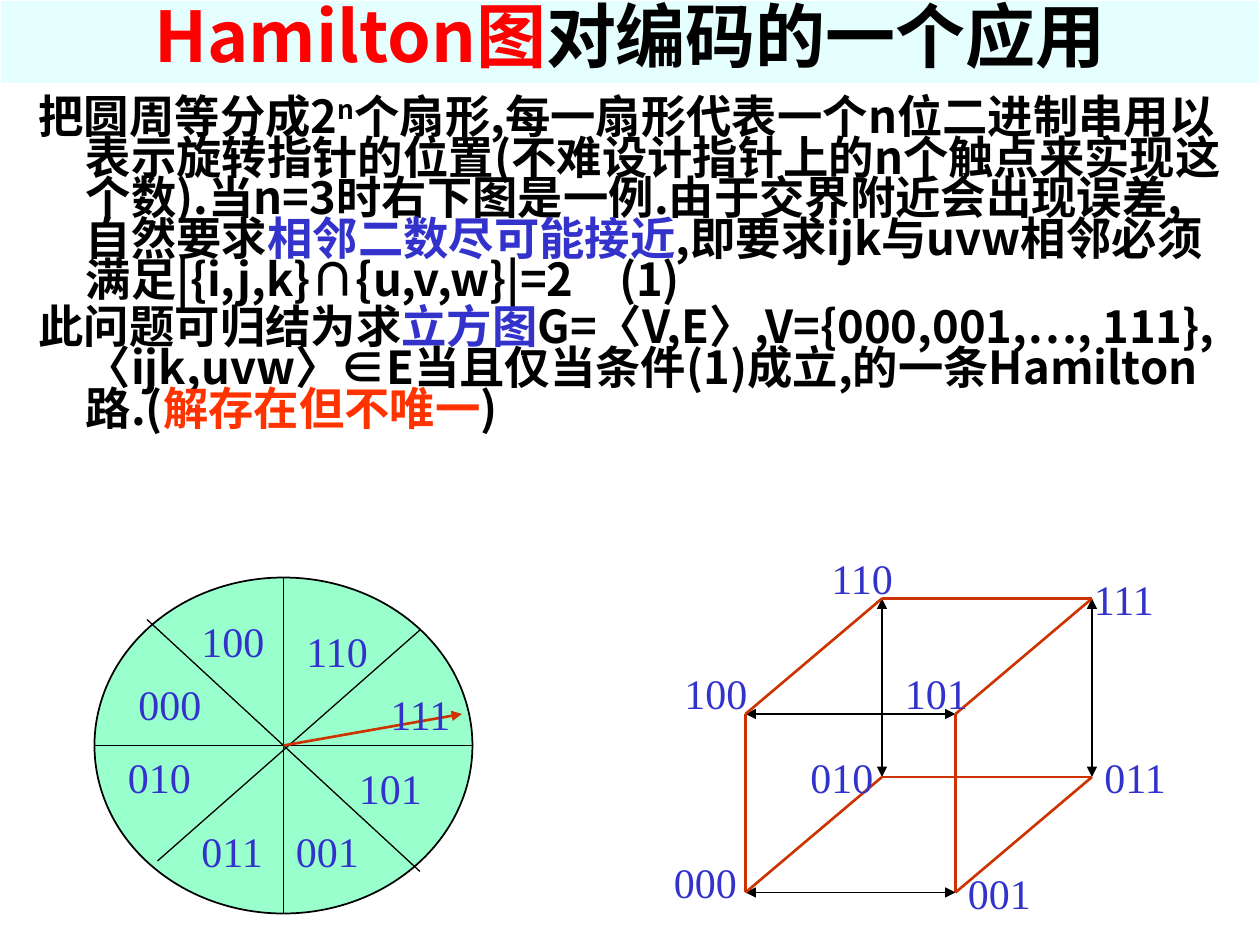
"""Build a slide on Hamilton paths in the cube graph and their use in coding."""
from lxml import etree
from pptx import Presentation
from pptx.dml.color import RGBColor
from pptx.enum.shapes import MSO_CONNECTOR, MSO_SHAPE
from pptx.enum.text import MSO_ANCHOR, MSO_AUTO_SIZE, PP_ALIGN
from pptx.oxml.ns import qn
from pptx.util import Pt

STRAIGHT = MSO_CONNECTOR.STRAIGHT
OVAL = MSO_SHAPE.OVAL
MIDDLE = MSO_ANCHOR.MIDDLE
TOP = MSO_ANCHOR.TOP
CENTER = PP_ALIGN.CENTER
NO_FIT = MSO_AUTO_SIZE.NONE

COLORS = {
    "text": "000000", "title": "FF0000", "band": "CCFFFF", "border": "FFFFFF",
    "term": "3333CC", "remark": "FF3300", "wheel": "99FFCC", "path": "CC3300",
}
HEADING_FONT = "Noto Sans CJK SC"
BRACKET_FONT = "Arial"
TITLE_FORMAT = {"size": Pt(40), "bold": True, "name": HEADING_FONT}
BODY_FORMAT = {"size": Pt(25.9), "bold": True, "name": HEADING_FONT}
BRACKET_FORMAT = {**BODY_FORMAT, "name": BRACKET_FONT}
CODE_FORMAT = {"size": Pt(24), "name": "Times New Roman"}
SUPERSCRIPT = "30000"

PROBLEM = [
    [
        ("把圆周等分成2", "text", BODY_FORMAT),
        ("n", "text", BODY_FORMAT, SUPERSCRIPT),
        ("个扇形,每一扇形代表一个n位二进制串用以表示旋转指针的位置"
         "(不难设计指针上的n个触点来实现这个数).当n=3时右下图是一例."
         "由于交界附近会出现误差,自然要求", "text", BODY_FORMAT),
        ("相邻二数尽可能接近", "term", BODY_FORMAT),
        (",即要求ijk与uvw相邻必须满足|{i,j,k}∩{u,v,w}|=2　(1)", "text", BODY_FORMAT),
    ],
    [
        ("此问题可归结为求", "text", BODY_FORMAT),
        ("立方图", "term", BODY_FORMAT),
        ("G=", "text", BODY_FORMAT),
        ("〈", "text", BRACKET_FORMAT),
        ("V,E", "text", BODY_FORMAT),
        ("〉", "text", BRACKET_FORMAT),
        (",V={000,001,…, 111},", "text", BODY_FORMAT),
        ("〈", "text", BRACKET_FORMAT),
        ("ijk,uvw", "text", BODY_FORMAT),
        ("〉∈", "text", BRACKET_FORMAT),
        ("E当且仅当条件(1)成立,的一条Hamilton路.(", "text", BODY_FORMAT),
        ("解存在但不唯一", "remark", BODY_FORMAT),
        (")", "text", BODY_FORMAT),
    ],
]

SECTOR_LABELS = {
    "111": (216, 390), "110": (168, 354), "101": (198, 432), "100": (108, 348),
    "000": (72, 384), "010": (66, 426), "011": (108, 468), "001": (162, 468),
}
DIAMETERS = [
    ((54, 426), (270, 426)), ((162, 330), (162, 522)),
    ((240, 360), (90, 492)), ((84, 354), (240, 498)),
]
VERTEX_LABELS = {
    "000": (378, 486), "001": (546, 492), "011": (624, 426), "111": (618, 324),
    "110": (468, 312), "100": (384, 378), "101": (510, 378), "010": (456, 426),
}
ARROW_EDGES = [("000", "001"), ("100", "101"), ("110", "010"), ("111", "011")]
PLAIN_EDGES = [
    ("100", "000"), ("101", "001"), ("010", "011"), ("110", "111"),
    ("100", "110"), ("001", "011"), ("101", "111"), ("000", "010"),
]


def rgb(color):
    """Return the named colour."""
    return RGBColor.from_string(COLORS[color])


def add_run(paragraph, text, color, formats, baseline=None):
    """Append a formatted run to a paragraph."""
    run = paragraph.add_run()
    run.text = text
    for attribute, value in formats.items():
        setattr(run.font, attribute, value)
    run.font.color.rgb = rgb(color)
    properties = run.font._element
    if "bold" in formats:
        etree.SubElement(properties, qn("a:ea")).set("typeface", HEADING_FONT)
    if baseline:
        properties.set("baseline", baseline)


def format_title(title):
    """Place the title on its tinted band."""
    title.left, title.top, title.width, title.height = 0, 0, Pt(720), Pt(48)
    title.fill.solid()
    title.fill.fore_color.rgb = rgb("band")
    tint = title.fill._xPr.find(".//" + qn("a:srgbClr"))
    etree.SubElement(tint, qn("a:alpha")).set("val", "50000")
    title.line.color.rgb = rgb("border")
    title.line.width = Pt(0.75)
    frame = title.text_frame
    frame.auto_size = NO_FIT
    frame.vertical_anchor = MIDDLE
    heading = frame.paragraphs[0]
    heading.alignment = CENTER
    heading.line_spacing = 0.8
    add_run(heading, "Hamilton图", "title", TITLE_FORMAT)
    add_run(heading, "对编码的一个应用", "text", TITLE_FORMAT)


def add_frame(slide, left, top, width, height):
    """Add a wrapping text box and return its text frame."""
    frame = slide.shapes.add_textbox(Pt(left), Pt(top), Pt(width), Pt(height)).text_frame
    frame.word_wrap = True
    frame.vertical_anchor = TOP
    return frame


def add_problem(slide):
    """Add the problem statement with hanging indents."""
    frame = add_frame(slide, 15, 54, 693.5, 240)
    for index, runs in enumerate(PROBLEM):
        paragraph = frame.add_paragraph() if index else frame.paragraphs[0]
        paragraph.line_spacing = 0.75
        if index:
            paragraph.space_before = Pt(3.5)
        properties = paragraph._p.get_or_add_pPr()
        properties.set("marL", str(Pt(27)))
        properties.set("indent", str(Pt(-27)))
        for run in runs:
            add_run(paragraph, *run)


def add_codes(slide, labels):
    """Add one binary code label per entry."""
    for code, (left, top) in labels.items():
        frame = add_frame(slide, left, top, 54, 36)
        add_run(frame.paragraphs[0], code, "term", CODE_FORMAT)


def add_line(slide, start, end, color="text", width=0.75, arrows=()):
    """Add a straight line with optional arrowheads."""
    line = slide.shapes.add_connector(STRAIGHT, *map(Pt, start + end))
    line.line.color.rgb = rgb(color)
    line.line.width = Pt(width)
    outline = line.line._get_or_add_ln()
    for arrow in arrows:
        etree.SubElement(outline, qn(arrow)).set("type", "triangle")
    etree.SubElement(line._element.spPr, qn("a:effectLst"))


def add_wheel(slide):
    """Add the dial of eight sectors and its pointer."""
    dial = slide.shapes.add_shape(OVAL, Pt(54), Pt(330), Pt(216), Pt(192))
    dial.shadow.inherit = False
    dial.fill.solid()
    dial.fill.fore_color.rgb = rgb("wheel")
    dial.line.color.rgb = rgb("text")
    dial.line.width = Pt(1)
    for start, end in DIAMETERS:
        add_line(slide, start, end)
    add_line(slide, (162, 426), (264, 408), "path", 1.5, ["a:tailEnd"])
    add_codes(slide, SECTOR_LABELS)


def vertex(code):
    """Return the cube corner whose bits mean up, back and right."""
    up, back, right = map(int, code)
    return 426 + 120 * right + 78 * back, 510 - 102 * up - 66 * back


def add_cube(slide):
    """Add the cube graph with its labelled vertices."""
    for start, end in ARROW_EDGES:
        add_line(slide, vertex(start), vertex(end), "text", 1, ["a:headEnd", "a:tailEnd"])
    for start, end in PLAIN_EDGES:
        add_line(slide, vertex(start), vertex(end), "path", 1.5)
    add_codes(slide, VERTEX_LABELS)


def main():
    """Build and save the slide."""
    deck = Presentation()
    deck.slide_width, deck.slide_height = Pt(720), Pt(540)
    slide = deck.slides.add_slide(deck.slide_layouts.get_by_name("Title Only"))
    format_title(slide.shapes.title)
    add_problem(slide)
    add_wheel(slide)
    add_cube(slide)
    deck.save("out.pptx")


if __name__ == "__main__":
    main()
